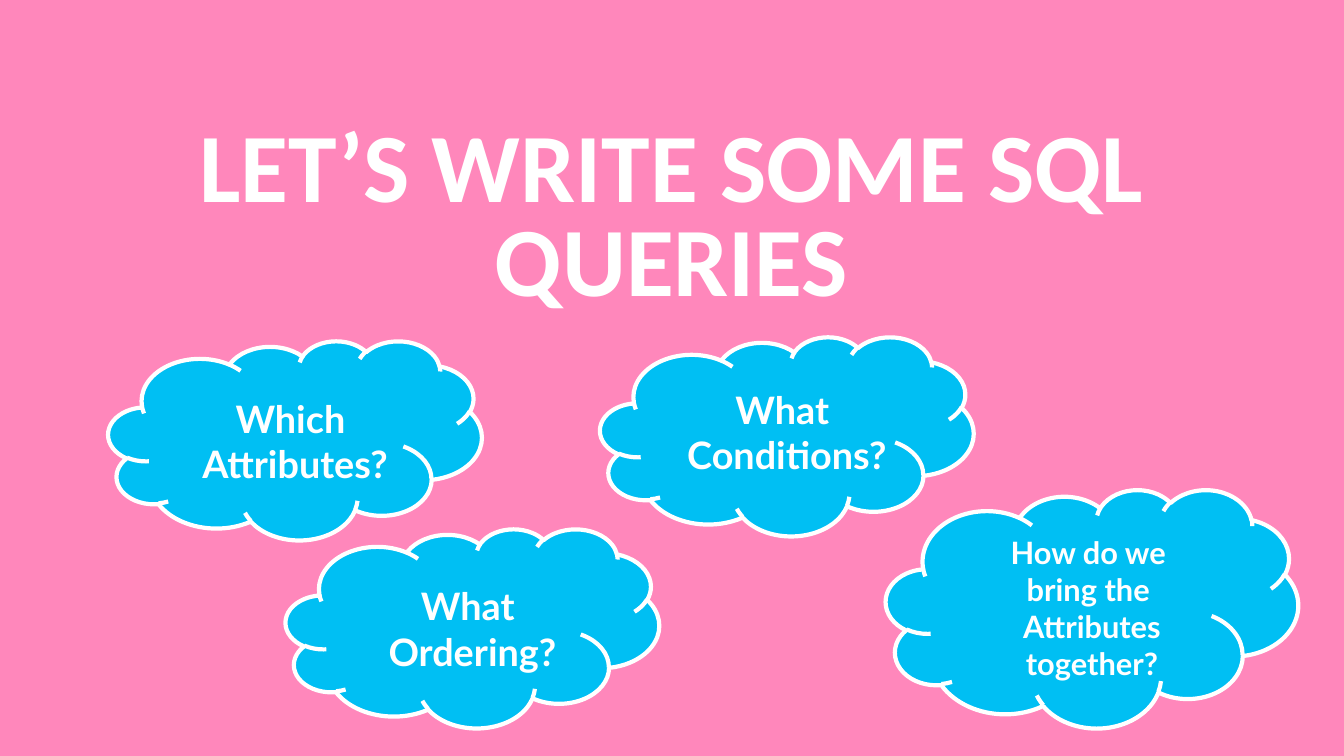
import pptx
import pptx.util
import pptx.dml.color
import pptx.enum.shapes
import pptx.enum.text

Inches, Pt = pptx.util.Inches, pptx.util.Pt
RGBColor = pptx.dml.color.RGBColor
PINK = RGBColor(0xFF, 0x87, 0xBB)
BLUE = RGBColor(0x00, 0xBF, 0xF3)
WHITE = RGBColor(0xFF, 0xFF, 0xFF)
CAPTION_W = 12.87

prs = pptx.Presentation()
prs.slide_width, prs.slide_height = Inches(26.67), Inches(15)
s = prs.slides.add_slide(prs.slide_layouts[5])
s.background.fill.solid()
s.background.fill.fore_color.rgb = PINK


def write(shape, lines, font, size, spacing=None):
    tf = shape.text_frame
    tf.word_wrap = True
    tf.auto_size = pptx.enum.text.MSO_AUTO_SIZE.NONE
    tf.vertical_anchor = pptx.enum.text.MSO_ANCHOR.MIDDLE
    tf.margin_left = tf.margin_right = tf.margin_top = tf.margin_bottom = Inches(0.06)
    tf.text = "\n".join(lines)
    for p in tf.paragraphs:
        p.alignment = pptx.enum.text.PP_ALIGN.CENTER
        p.line_spacing = spacing
        for r in p.runs:
            r.font.name, r.font.size, r.font.bold = font, Pt(size), True
            r.font.color.rgb = WHITE


# Heading
title = s.shapes.title
title.left, title.top = Inches(1.33), Inches(2.1)
title.width, title.height = Inches(24), Inches(4.59)
write(title, ["LET’S WRITE SOME SQL QUERIES"], "Calibri", 140, 0.8)

# Question clouds: left, top, width, height, caption top, caption height, size, lines
clouds = [
    (2.15, 6.76, 7.41, 3.95, 7.78, 1.93, 54, ["Which ", "Attributes?"]),
    (11.91, 6.68, 7.41, 3.95, 7.61, 1.93, 54, ["What ", "Conditions?"]),
    (5.67, 10.49, 7.41, 3.95, 11.5, 1.93, 54, ["What ", "Ordering?"]),
    (17.58, 9.71, 8.18, 4.73, 10.53, 3.07, 44,
     ["How do we ", "bring the ", "Attributes", "together?"]),
]
for left, top, w, h, caption_top, caption_h, size, lines in clouds:
    group = s.shapes.add_group_shape()
    cloud = group.shapes.add_shape(pptx.enum.shapes.MSO_SHAPE.CLOUD,
                                   Inches(left), Inches(top), Inches(w), Inches(h))
    cloud.shadow.inherit = False
    cloud.fill.solid()
    cloud.fill.fore_color.rgb = BLUE
    cloud.line.color.rgb = WHITE
    cloud.line.width = Pt(6)

    # Caption centred across its cloud
    caption = group.shapes.add_textbox(Inches(left + (w - CAPTION_W) / 2), Inches(caption_top),
                                       Inches(CAPTION_W), Inches(caption_h))
    write(caption, lines, "Lato", size)

prs.save("out.pptx")
